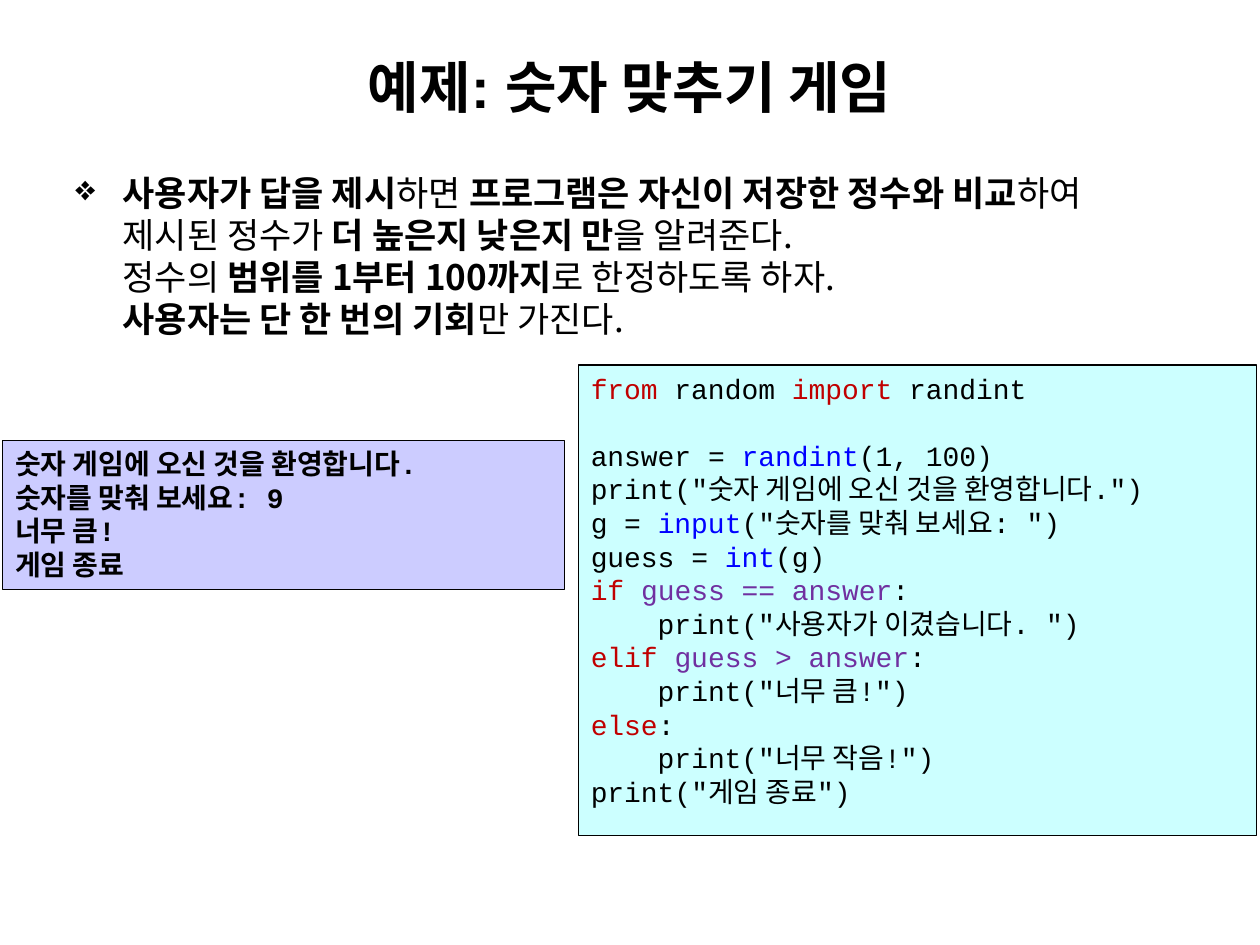
from dataclasses import dataclass

from lxml.etree import SubElement
from pptx import Presentation
from pptx.dml.color import RGBColor as Rgb
from pptx.enum.shapes import MSO_SHAPE as Shape
from pptx.enum.text import MSO_ANCHOR as Anchor, PP_ALIGN as Align
from pptx.oxml.ns import qn
from pptx.util import Pt


@dataclass(frozen=True)
class Theme:
    ink: str = "000000"
    keyword: str = "C00000"
    function: str = "0000FF"
    condition: str = "7030A0"
    console_fill: str = "CCCCFF"
    code_fill: str = "CCFFFF"
    heading: str = "Arial"
    korean: str = "Noto Sans CJK KR"
    mono: str = "Courier New"
    title_size: int = 32
    body_size: int = 20
    code_size: int = 16
    leading: float = 1.2


THEME = Theme()
INK, KEY, FUNC, COND = THEME.ink, THEME.keyword, THEME.function, THEME.condition

# Each rule line is a list of (text, bold) runs
RULES = [
    [("사용자가 답을 제시", True), ("하면 ", False),
     ("프로그램은 자신이 저장한 정수와 비교", True), ("하여 제시된 정수가 ", False),
     ("더 높은지 낮은지 만", True), ("을 알려준다. ", False)],
    [("정수의 ", False), ("범위를 1부터 100까지", True), ("로 한정하도록 하자. ", False)],
    [("사용자는 단 한 번의 기회", True), ("만 가진다.", False)],
]

CONSOLE = ["숫자 게임에 오신 것을 환영합니다.", "숫자를 맞춰 보세요: 9", "너무 큼!", "게임 종료"]

# Each code line is a list of (text, colour) runs
CODE = [
    [("from", KEY), (" random ", INK), ("import ", KEY), ("randint", INK)],
    [],
    [("answer = ", INK), ("randint", FUNC), ("(1, 100)", INK)],
    [('print("숫자 게임에 오신 것을 환영합니다.")', INK)],
    [("g = ", INK), ("input", FUNC), ('("숫자를 맞춰 보세요: ")', INK)],
    [("guess = ", INK), ("int", FUNC), ("(g)", INK)],
    [("if ", KEY), ("guess == answer", COND), (":", INK)],
    [('    print("사용자가 이겼습니다. ")', INK)],
    [("elif ", KEY), ("guess > answer", COND), (":", INK)],
    [('    print("너무 큼!")', INK)],
    [("else", KEY), (":", INK)],
    [('    print("너무 작음!")', INK)],
    [('print("게임 종료")', INK)],
]


def add_run(paragraph, text, font, size, color=INK, bold=False):
    run = paragraph.add_run()
    run.text = text
    run.font.name, run.font.size, run.font.bold = font, Pt(size), bold
    run.font.color.rgb = Rgb.from_string(color)
    SubElement(run.font._element, qn("a:ea"), typeface=THEME.korean)


def add_title(slide, box, text):
    frame = slide.shapes.add_textbox(*map(Pt, box)).text_frame
    frame.word_wrap = True
    frame.vertical_anchor = Anchor.MIDDLE
    heading = frame.paragraphs[0]
    heading.alignment = Align.CENTER
    add_run(heading, text, THEME.heading, THEME.title_size, bold=True)


def add_rules(slide, box, lines):
    frame = slide.shapes.add_textbox(*map(Pt, box)).text_frame
    frame.word_wrap = True
    rules = frame.paragraphs[0]
    rules.line_spacing = Pt(THEME.body_size * THEME.leading)
    # Hanging bullet
    properties = rules._p.get_or_add_pPr()
    properties.set("marL", str(Pt(27)))
    properties.set("indent", str(-Pt(27)))
    SubElement(properties, qn("a:buChar"), char="❖")
    for number, line in enumerate(lines):
        if number:
            rules.add_line_break()
        for text, bold in line:
            add_run(rules, text, THEME.korean, THEME.body_size, bold=bold)


def add_listing(slide, box, fill, lines, bold=False):
    panel = slide.shapes.add_shape(Shape.RECTANGLE, *map(Pt, box))
    panel.shadow.inherit = False
    panel.fill.solid()
    panel.fill.fore_color.rgb = Rgb.from_string(fill)
    panel.line.color.rgb = Rgb.from_string(INK)
    panel.line.width = Pt(0.75)
    frame = panel.text_frame
    frame.word_wrap = True
    frame.vertical_anchor = Anchor.TOP
    for number, line in enumerate(lines):
        row = frame.add_paragraph() if number else frame.paragraphs[0]
        row.alignment = Align.LEFT
        row.line_spacing = Pt(THEME.code_size * THEME.leading)
        if not line:
            row.font.size = Pt(THEME.code_size)
        for text, color in line:
            add_run(row, text, THEME.mono, THEME.code_size, color, bold)


def main():
    deck = Presentation()
    deck.slide_width, deck.slide_height = Pt(720), Pt(540)
    slide = deck.slides.add_slide(deck.slide_layouts[6])

    add_title(slide, (36, 21.6, 648, 55.4), "예제: 숫자 맞추기 게임")
    add_rules(slide, (36, 94.3, 648, 419.8), RULES)
    # Console output on the left, program on the right
    add_listing(slide, (1.6, 251.8, 321, 85), THEME.console_fill,
                [[(text, INK)] for text in CONSOLE], bold=True)
    add_listing(slide, (330.5, 208.6, 387.4, 269), THEME.code_fill, CODE)

    deck.save("out.pptx")


if __name__ == "__main__":
    main()
